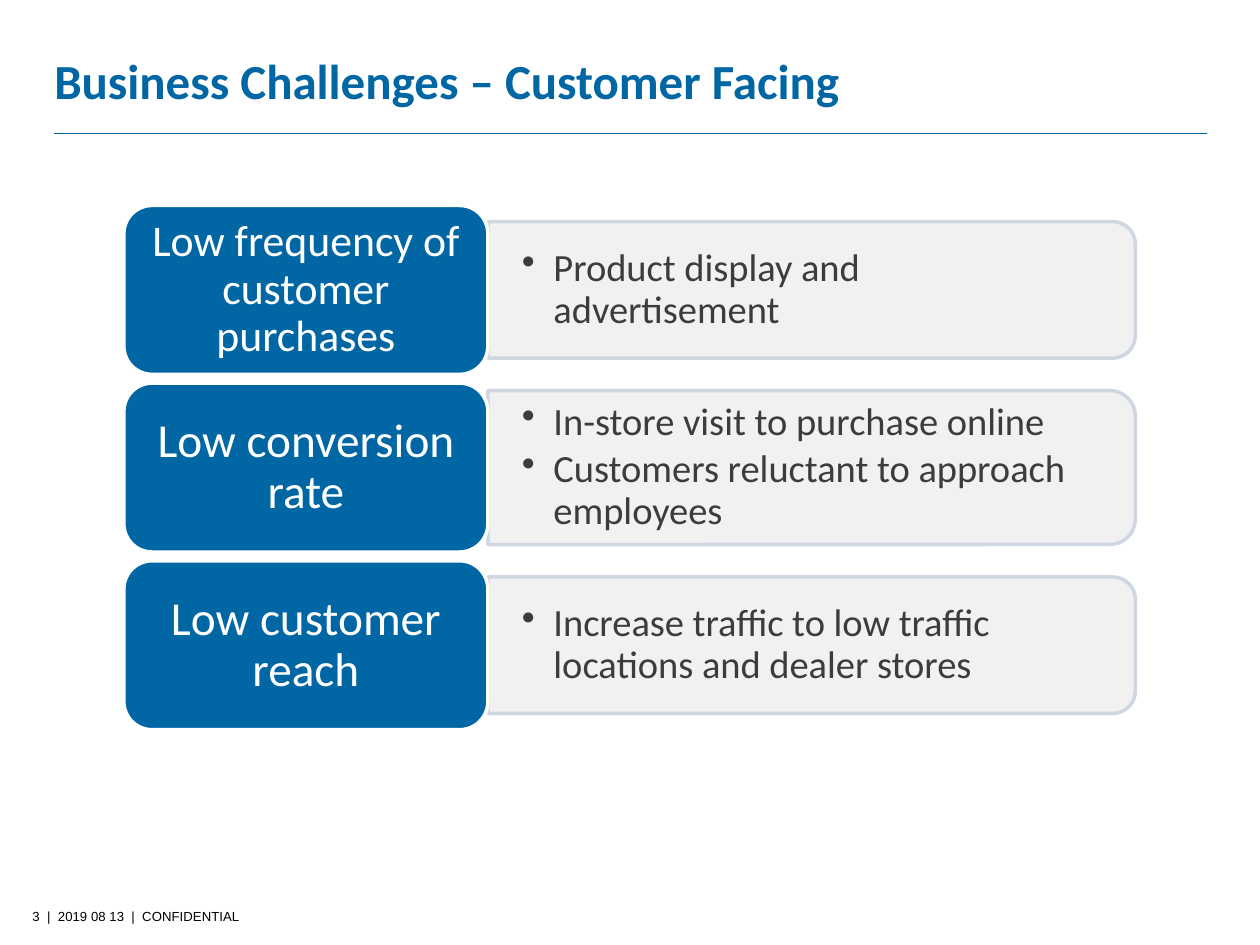
from lxml import etree
from pptx import Presentation
from pptx.dml.color import RGBColor
from pptx.enum import shapes, text
from pptx.oxml import ns
from pptx.util import Pt

COLORS = {"blue": "0066A4", "panel": "F0F0F0", "edge": "CCD3E0",
          "body": "3C3C3C", "white": "FFFFFF", "black": "000000"}
# Label, label size, panel height, bullets
CHALLENGES = [
    ("Low frequency of customer purchases", 25, 78,
     ["Product display and advertisement"]),
    ("Low conversion rate", 27, 88,
     ["In-store visit to purchase online",
      "Customers reluctant to approach employees"]),
    ("Low customer reach", 27, 78,
     ["Increase traffic to low traffic locations and dealer stores"]),
]


def rgb(name):
    return RGBColor.from_string(COLORS[name])


def set_font(paragraph, size, color, face="Calibri", bold=False):
    font = paragraph.font
    font.name, font.size, font.bold = face, Pt(size), bold
    font.color.rgb = rgb(color)


def set_frame(frame, horizontal, vertical):
    frame.word_wrap = True
    frame.auto_size = text.MSO_AUTO_SIZE.NONE
    frame.vertical_anchor = text.MSO_ANCHOR.MIDDLE
    frame.margin_left = frame.margin_right = Pt(horizontal)
    frame.margin_top = frame.margin_bottom = Pt(vertical)


def style_shape(shape, fill, edge):
    shape.shadow.inherit = False
    shape.fill.solid()
    shape.fill.fore_color.rgb = rgb(fill)
    shape.line.color.rgb = rgb(edge)
    shape.line.width = Pt(2)


def set_opacity(shape, percent):
    """Apply the same opacity to the fill and the outline."""
    for color in shape.element.spPr.iter(ns.qn("a:srgbClr")):
        etree.SubElement(color, ns.qn("a:alpha"), val=str(percent * 1000))


def add_bullet(paragraph, indent):
    properties = paragraph._p.get_or_add_pPr()
    properties.set("marL", str(Pt(indent)))
    properties.set("indent", str(-Pt(indent)))
    etree.SubElement(properties, ns.qn("a:buChar"), char="•")


def add_heading(slide, left, top, width, height):
    title = slide.shapes.title
    title.left, title.top, title.width, title.height = map(Pt, (left, top, width, height))
    frame = title.text_frame
    set_frame(frame, 0, 0)
    frame.margin_top, frame.margin_right = Pt(3.6), Pt(7.2)
    frame.text = "Business Challenges – Customer Facing"
    frame.paragraphs[0].alignment = text.PP_ALIGN.LEFT
    set_font(frame.paragraphs[0], 28, "blue", bold=True)

    rule_y = Pt(top + height - 1.5)
    rule = slide.shapes.add_connector(
        shapes.MSO_CONNECTOR.STRAIGHT, Pt(left), rule_y, Pt(left + width), rule_y)
    rule.line.color.rgb = rgb("blue")
    rule.line.width = Pt(1)
    etree.SubElement(rule.element.spPr, ns.qn("a:effectLst"))


def add_panel(slide, bullets, left, top, width, height):
    """Panel rounded on its right side only, with bullets over it."""
    # The preset is rounded on top, so it is turned about its centre.
    panel = slide.shapes.add_shape(
        shapes.MSO_SHAPE.ROUND_2_SAME_RECTANGLE,
        Pt(left + (width - height) / 2), Pt(top + (height - width) / 2),
        Pt(height), Pt(width))
    panel.rotation = 90
    style_shape(panel, "panel", "edge")
    set_opacity(panel, 90)

    inset = 4
    frame = slide.shapes.add_textbox(
        Pt(left), Pt(top + inset), Pt(width - inset), Pt(height - 2 * inset)).text_frame
    set_frame(frame, 19.5, 10)
    frame.text = "\n".join(bullets)
    for paragraph in frame.paragraphs:
        paragraph.line_spacing = 0.9
        paragraph.space_after = Pt(3.3)
        add_bullet(paragraph, 18)
        set_font(paragraph, 22, "body")


def add_label(slide, wording, size, left, top, width, height):
    label = slide.shapes.add_shape(
        shapes.MSO_SHAPE.ROUNDED_RECTANGLE, Pt(left), Pt(top), Pt(width), Pt(height))
    style_shape(label, "blue", "white")
    frame = label.text_frame
    set_frame(frame, 7.2, 3.6)
    frame.text = wording
    paragraph = frame.paragraphs[0]
    paragraph.alignment = text.PP_ALIGN.CENTER
    paragraph.line_spacing = 0.9
    set_font(paragraph, size, "white")


def add_challenges(slide, left, top, width, height):
    gap, label_width = 5, 208
    row_height = (height - gap * (len(CHALLENGES) - 1)) / len(CHALLENGES)
    for index, (wording, size, panel_height, bullets) in enumerate(CHALLENGES):
        row_top = top + index * (row_height + gap)
        add_panel(slide, bullets, left + label_width,
                  row_top + (row_height - panel_height) / 2,
                  width - label_width, panel_height)
        add_label(slide, wording, size, left, row_top, label_width, row_height)


def add_footer(slide, left, top, width, height):
    frame = slide.shapes.add_textbox(Pt(left), Pt(top), Pt(width), Pt(height)).text_frame
    frame.word_wrap = True
    frame.text = "3  |  2019 08 13  |  CONFIDENTIAL"
    set_font(frame.paragraphs[0], 7.5, "black", face="Arial")


def main():
    deck = Presentation()
    deck.slide_width, deck.slide_height = Pt(720), Pt(540)
    slide = deck.slides.add_slide(deck.slide_layouts[5])
    add_heading(slide, 31, 9.4, 659, 68.4)
    add_challenges(slide, 70.8, 117.4, 578, 299.6)
    add_footer(slide, 11.5, 515.5, 468, 24.5)
    deck.save("out.pptx")


if __name__ == "__main__":
    main()
